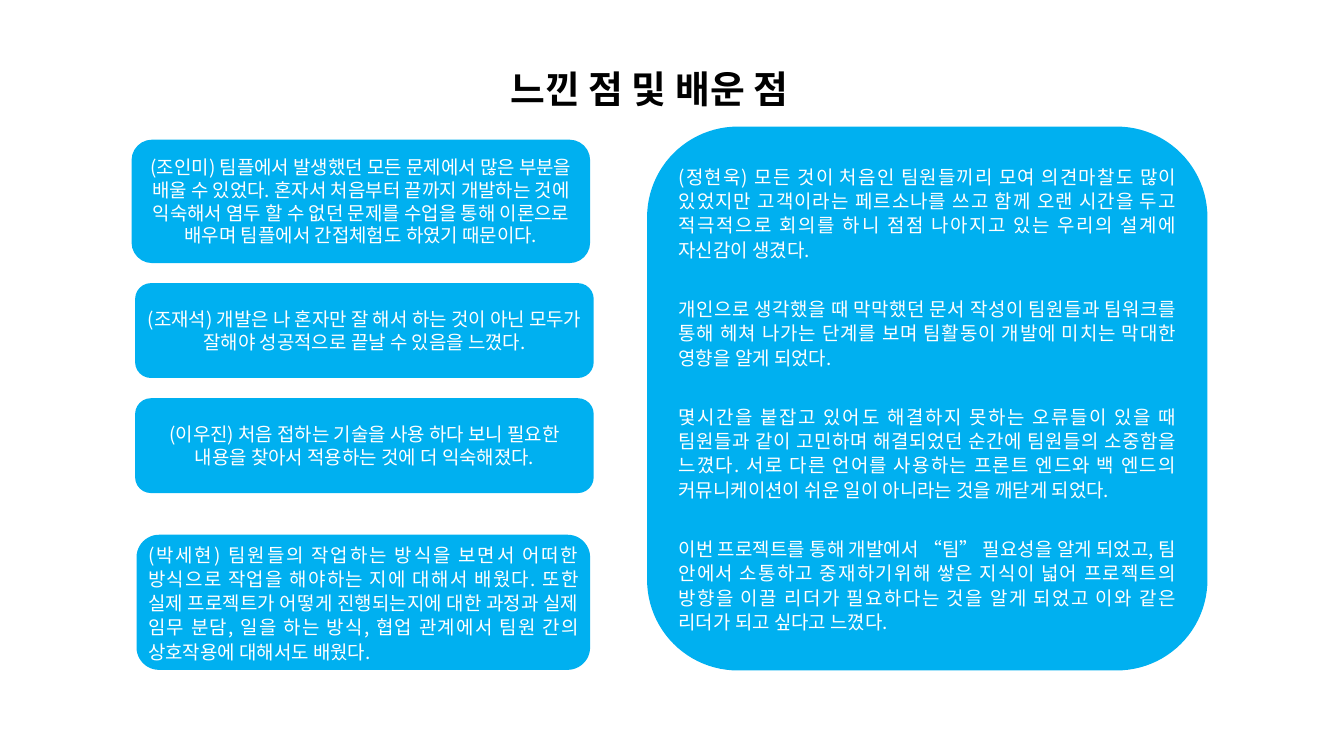
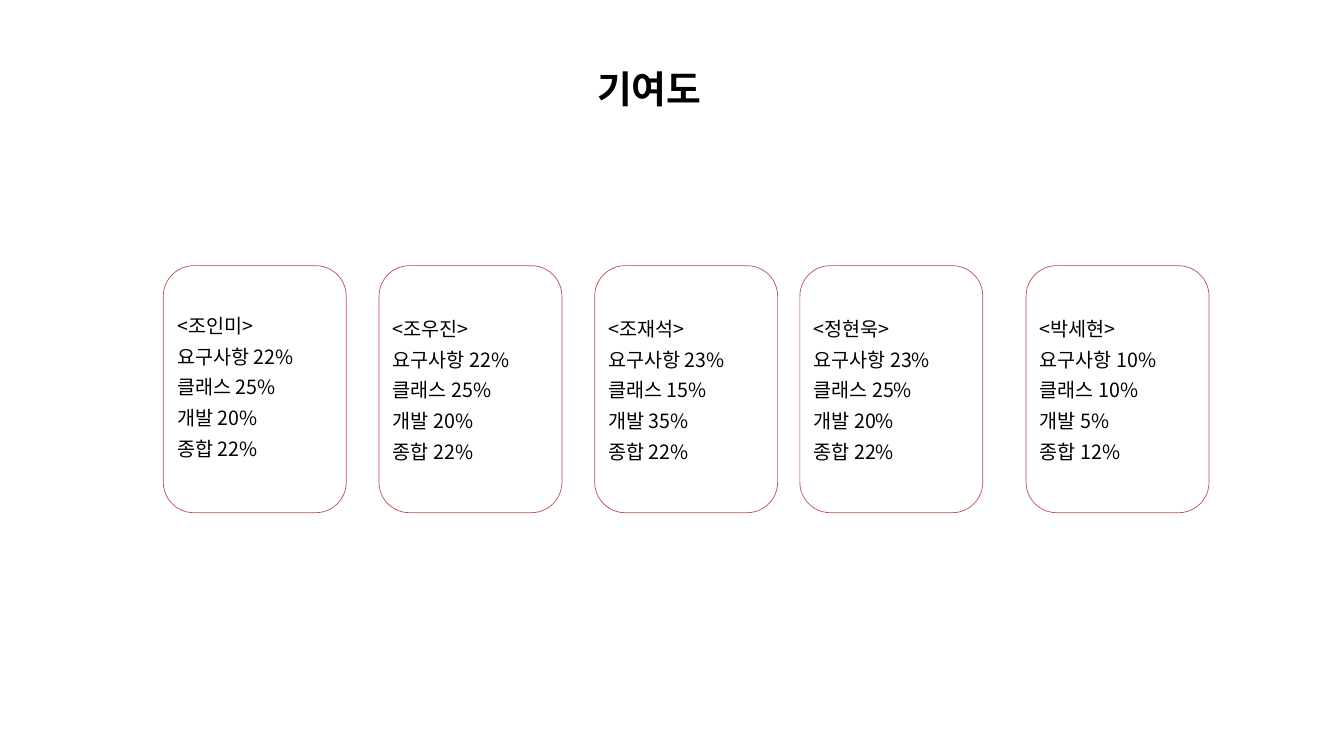
from lxml import etree
from pptx import Presentation, util as u
from pptx.dml.color import RGBColor
from pptx.enum import shapes, text
from pptx.oxml.ns import qn

HUES = {"blue": "00B0F0", "white": "FFFFFF", "black": "000000", "red": "C04C4C"}
KOR, SANS = "Noto Sans CJK KR", "Open Sans"
MID = {"alignment": text.PP_ALIGN.CENTER}
BODY = {"alignment": text.PP_ALIGN.JUSTIFY, "line_spacing": 1.07, "space_after": u.Pt(8)}
TITLE = (18.36, 3.2, 28.73, 2.57)

NOTES = [
    ((6.63, 7.04, 23.11, 6.22), MID,
     ["(조인미) 팀플에서 발생했던 모든 문제에서 많은 부분을 배울 수 있었다. 혼자서 처음부터 끝까지 "
      "개발하는 것에 익숙해서 염두 할 수 없던 문제를 수업을 통해 이론으로 배우며 팀플에서 간접체험도 "
      "하였기 때문이다."]),
    ((6.81, 14.27, 23.11, 4.78), MID,
     ["(조재석) 개발은 나 혼자만 잘 해서 하는 것이 아닌 모두가 잘해야 성공적으로 끝날 수 있음을 느꼈다."]),
    ((6.81, 20.07, 23.11, 4.78), MID,
     ["(이우진) 처음 접하는 기술을 사용 하다 보니 필요한 내용을 찾아서 적용하는 것에 더 익숙해졌다."]),
    ((6.88, 26.95, 22.86, 6.81), BODY,
     ["(박세현) 팀원들의 작업하는 방식을 보면서 어떠한 방식으로 작업을 해야하는 지에 대해서 배웠다. "
      "또한 실제 프로젝트가 어떻게 진행되는지에 대한 과정과 실제 임무 분담, 일을 하는 방식, 협업 "
      "관계에서 팀원 간의 상호작용에 대해서도 배웠다."]),
    ((32.61, 6.38, 28.24, 27.41), BODY,
     ["(정현욱) 모든 것이 처음인 팀원들끼리 모여 의견마찰도 많이 있었지만 고객이라는 페르소나를 쓰고 "
      "함께 오랜 시간을 두고 적극적으로 회의를 하니 점점 나아지고 있는 우리의 설계에 자신감이 생겼다.",
      "개인으로 생각했을 때 막막했던 문서 작성이 팀원들과 팀워크를 통해 헤쳐 나가는 단계를 보며 "
      "팀활동이 개발에 미치는 막대한 영향을 알게 되었다.",
      "몇시간을 붙잡고 있어도 해결하지 못하는 오류들이 있을 때 팀원들과 같이 고민하며 해결되었던 "
      "순간에 팀원들의 소중함을 느꼈다. 서로 다른 언어를 사용하는 프론트 엔드와 백 엔드의 "
      "커뮤니케이션이 쉬운 일이 아니라는 것을 깨닫게 되었다.",
      "이번 프로젝트를 통해 개발에서 “팀” 필요성을 알게 되었고, 팀 안에서 소통하고 중재하기위해 쌓은 "
      "지식이 넓어 프로젝트의 방향을 이끌 리더가 필요하다는 것을 알게 되었고 이와 같은 리더가 되고 "
      "싶다고 느꼈다."]),
]

PARTS = ["요구사항", "클래스", "개발", "종합"]
SHARES = [
    (8.23, "조인미", (22, 25, 20, 22), 0.43),
    (19.1, "조우진", (22, 25, 20, 22), 0.13),
    (29.97, "조재석", (23, 15, 35, 22), 0.13),
    (40.31, "정현욱", (23, 25, 20, 22), 0.13),
    (51.71, "박세현", (10, 10, 5, 12), 0.13),
]


def tint(hue):
    return RGBColor.from_string(HUES[hue])


def put(item, look):
    for key, val in look.items():
        setattr(item, key, val)


def write(frame, lines, look, size, hue, face=KOR, bold=False, gap=0):
    frame.word_wrap = True
    for i, line in enumerate(lines):
        para = frame.add_paragraph() if i else frame.paragraphs[0]
        put(para, look)
        if i and gap:
            para.space_before = u.Pt(gap)
        run = para.add_run()
        run.text = line
        put(run.font, {"size": u.Pt(size), "name": face, "bold": bold})
        run.font.color.rgb = tint(hue)
        east = etree.SubElement(run.font._element, qn("a:ea"))
        east.set("typeface", KOR)


def head(slide, box, label, face):
    frame = slide.shapes.add_textbox(*map(u.Cm, box)).text_frame
    write(frame, [label], MID, 54, "black", face, True)
    frame.auto_size = text.MSO_AUTO_SIZE.SHAPE_TO_FIT_TEXT


def panel(slide, box, fill, edge=None):
    shape = slide.shapes.add_shape(shapes.MSO_SHAPE.ROUNDED_RECTANGLE, *map(u.Cm, box))
    shape.shadow.inherit = False
    shape.fill.solid()
    shape.fill.fore_color.rgb = tint(fill)
    if edge:
        shape.line.color.rgb = tint(edge)
        shape.line.width = u.Pt(1)
    else:
        shape.line.fill.background()
    shape.text_frame.vertical_anchor = text.MSO_ANCHOR.MIDDLE
    return shape.text_frame


def note(slide, box, look, lines):
    write(panel(slide, box, "blue"), lines, look, 27, "white", gap=42)


def card(slide, box, name, rates, foot):
    frame = panel(slide, box, "white", "red")
    frame.margin_bottom = u.Cm(foot)
    lines = [f"<{name}>"] + [f"{part} {rate}%" for part, rate in zip(PARTS, rates)]
    write(frame, lines, BODY, 28, "black")


def main():
    deck = Presentation()
    put(deck, {"slide_width": u.Cm(67.73), "slide_height": u.Cm(38.1)})
    blank = deck.slide_layouts[6]

    slide = deck.slides.add_slide(blank)
    head(slide, TITLE, "느낀 점 및 배운 점", KOR)
    for box, look, lines in NOTES:
        note(slide, box, look, lines)

    slide = deck.slides.add_slide(blank)
    head(slide, TITLE, "기여도", SANS)
    for left, name, rates, foot in SHARES:
        card(slide, (left, 13.39, 9.22, 12.45), name, rates, foot)

    deck.save("out.pptx")


if __name__ == "__main__":
    main()
